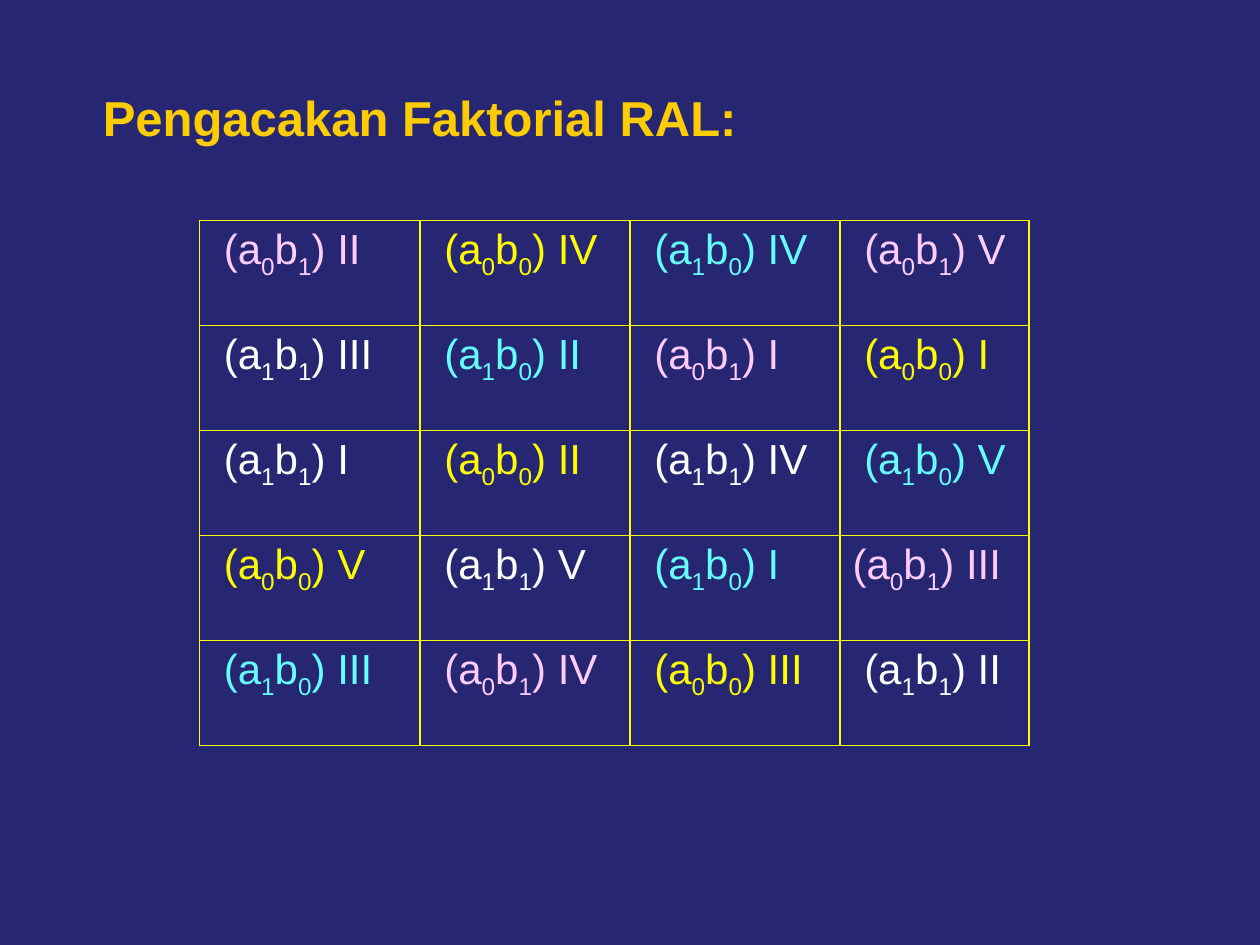
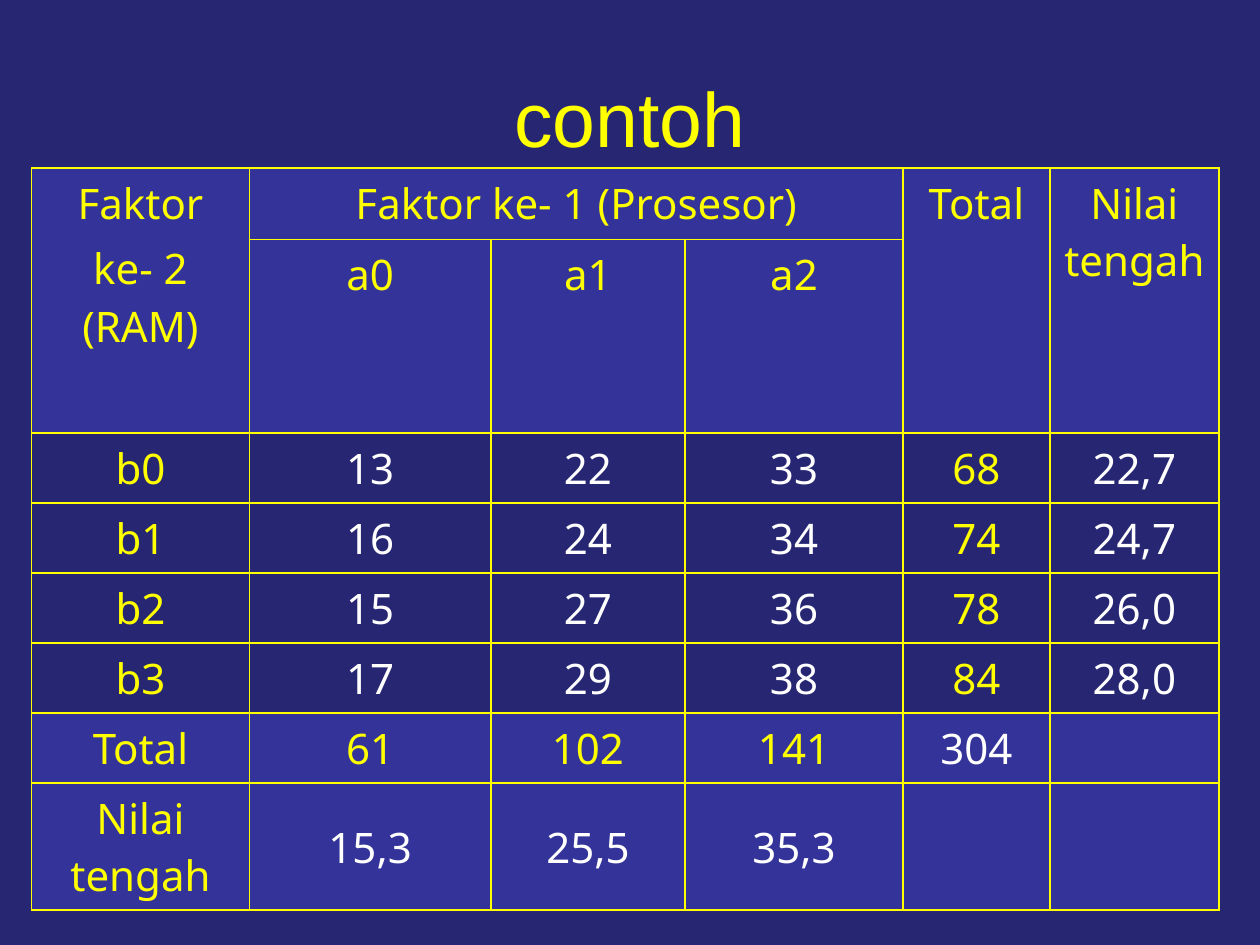
from itertools import product
from lxml.etree import SubElement
from pptx import Presentation
from pptx.dml.color import RGBColor
from pptx.enum.text import MSO_ANCHOR as ANCHOR, MSO_AUTO_SIZE as AUTO, PP_ALIGN as ALIGN
from pptx.oxml.ns import qn
from pptx.util import Pt

NAVY, INDIGO, YELLOW, GOLD, WHITE = "262673", "333399", "FFFF00", "FFCC00", "FFFFFF"
TREATMENT_COLORS = {"00": YELLOW, "01": "FFCCFF", "10": "66FFFF", "11": WHITE}

PLOTS = [
    ["01 II", "00 IV", "10 IV", "01 V"],
    ["11 III", "10 II", "01 I", "00 I"],
    ["11 I", "00 II", "11 IV", "10 V"],
    ["00 V", "11 V", "10 I", "01 III"],
    ["10 III", "01 IV", "00 III", "11 II"],
]
PLOT_COLS = [126, 120, 120, 108]
PLOT_ROWS = [60] * 5

RESULTS = [
    ["Faktor\nke- 2 (RAM)", "Faktor ke- 1 (Prosesor)", "", "", "Total", "Nilai tengah"],
    ["", "a0", "a1", "a2", "", ""],
    ["b0", "13", "22", "33", "68", "22,7"],
    ["b1", "16", "24", "34", "74", "24,7"],
    ["b2", "15", "27", "36", "78", "26,0"],
    ["b3", "17", "29", "38", "84", "28,0"],
    ["Total", "61", "102", "141", "304", ""],
    ["Nilai tengah", "15,3", "25,5", "35,3", "", ""],
]
RESULT_COLS = [124.5, 138, 111, 124.5, 84, 96.5]
RESULT_ROWS = [41, 67] + [39] * 5 + [70.5]
MERGES = [((0, 0), (1, 0)), ((0, 1), (0, 3)), ((0, 4), (1, 4)), ((0, 5), (1, 5))]
HEADER_ROWS, TOTAL_ROW, TOTAL_COL = 2, 6, 4


def rgb(color):
    return RGBColor.from_string(color)


def style(r, size, color, font="Arial", bold=False):
    r.font.size, r.font.name, r.font.bold = Pt(size), font, bold
    r.font.color.rgb = rgb(color)


def add_slide(title, size, color, align, bold=False, indent=0):
    slide = prs.slides.add_slide(prs.slide_layouts[5])
    sp = slide.shapes.title
    sp.left, sp.top, sp.width, sp.height = Pt(36), Pt(21.6), Pt(648), Pt(90)
    tf = sp.text_frame
    tf.text = title
    tf.auto_size, tf.vertical_anchor = AUTO.NONE, ANCHOR.MIDDLE
    tf.margin_left = Pt(7.2 + indent)
    p = tf.paragraphs[0]
    p.alignment = align
    style(p.runs[0], size, color, bold=bold)
    return slide


def add_border(cell):
    tcPr = cell._tc.get_or_add_tcPr()
    for i, side in enumerate(("lnL", "lnR", "lnT", "lnB")):
        ln = SubElement(tcPr, qn("a:" + side), w=str(Pt(1)))
        SubElement(SubElement(ln, qn("a:solidFill")), qn("a:srgbClr"), val=YELLOW)
        tcPr.remove(ln)
        tcPr.insert(i, ln)


def add_grid(slide, left, top, cols, rows):
    table = slide.shapes.add_table(len(rows), len(cols), Pt(left), Pt(top),
                                   Pt(sum(cols)), Pt(sum(rows))).table
    table.first_row = table.horz_banding = False
    for col, width in zip(table.columns, cols):
        col.width = Pt(width)
    for row, height in zip(table.rows, rows):
        row.height = Pt(height)
    for cell in table.iter_cells():
        cell.fill.background()
        add_border(cell)
    return table


def write_treatment(cell, plot):
    code, repeat = plot.split()
    p = cell.text_frame.paragraphs[0]
    for text in ("(a", code[0], "b", code[1], ") " + repeat):
        r = p.add_run()
        r.text = text
        style(r, 24, TREATMENT_COLORS[code])
        if text.isdigit():
            r._r.get_or_add_rPr().set("baseline", "-25000")


def result_color(row, col):
    if row < HEADER_ROWS or col == 0:
        return YELLOW
    return YELLOW if (row == TOTAL_ROW) != (col == TOTAL_COL) else WHITE


def write_result(cell, text, row, col):
    if row < HEADER_ROWS or row >= TOTAL_ROW:
        cell.fill.solid()
        cell.fill.fore_color.rgb = rgb(INDIGO)
    if not text:
        return
    if row >= HEADER_ROWS and col > 0:
        cell.vertical_anchor = ANCHOR.MIDDLE
        cell.margin_left = cell.margin_right = cell.margin_top = Pt(0.75)
        cell.margin_bottom = 0
    cell.text_frame.text = text
    for i, p in enumerate(cell.text_frame.paragraphs):
        p.alignment = ALIGN.CENTER
        if i:
            p.space_before = Pt(4.8)
        style(p.runs[0], 24, result_color(row, col), "Noto Sans")


prs = Presentation()
prs.slide_width, prs.slide_height = Pt(720), Pt(540)
background = prs.slide_master.background.fill
background.solid()
background.fore_color.rgb = rgb(NAVY)

slide = add_slide("Pengacakan Faktorial RAL:", 28, GOLD, ALIGN.LEFT, bold=True, indent=15.6)
table = add_grid(slide, 114, 126, PLOT_COLS, PLOT_ROWS)
for row, col in product(range(len(PLOT_ROWS)), range(len(PLOT_COLS))):
    cell = table.cell(row, col)
    cell.margin_left = Pt(7.2 if (row, col) == (3, 3) else 13.9)
    write_treatment(cell, PLOTS[row][col])

slide = add_slide("contoh", 44, YELLOW, ALIGN.CENTER)
table = add_grid(slide, 18, 96, RESULT_COLS, RESULT_ROWS)
for first, last in MERGES:
    table.cell(*first).merge(table.cell(*last))
for row, col in product(range(len(RESULT_ROWS)), range(len(RESULT_COLS))):
    write_result(table.cell(row, col), RESULTS[row][col], row, col)

prs.save("out.pptx")
